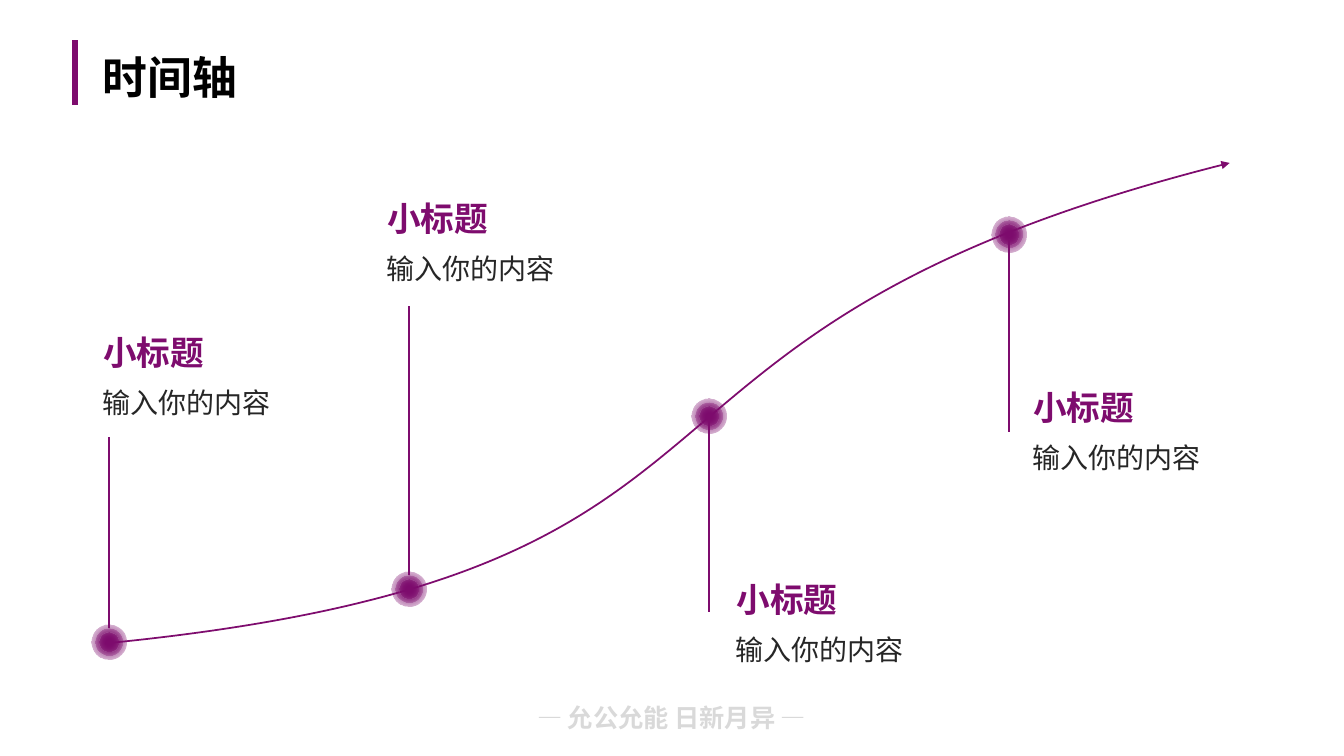
"""Build the timeline slide: a rising curve with four labelled milestones."""
from typing import Any, NamedTuple

from lxml import etree
from pptx import Presentation
from pptx.dml.color import RGBColor
from pptx.enum.lang import MSO_LANGUAGE_ID
from pptx.enum.shapes import MSO_CONNECTOR, MSO_SHAPE
from pptx.enum.text import MSO_ANCHOR, MSO_AUTO_SIZE, PP_ALIGN
from pptx.oxml import parse_xml
from pptx.oxml.ns import nsdecls, qn
from pptx.util import Emu, Pt

LEFT, CENTER, RIGHT, JUSTIFY = PP_ALIGN.LEFT, PP_ALIGN.CENTER, PP_ALIGN.RIGHT, PP_ALIGN.JUSTIFY
FIT, FIXED = MSO_AUTO_SIZE.SHAPE_TO_FIT_TEXT, MSO_AUTO_SIZE.NONE
MIDDLE = MSO_ANCHOR.MIDDLE
STRAIGHT = MSO_CONNECTOR.STRAIGHT
OVAL = MSO_SHAPE.OVAL
CHINESE = MSO_LANGUAGE_ID.SIMPLIFIED_CHINESE

COLORS = {"purple": "7E0C6E", "title": "000000", "body": "262626", "footer": "D9D9D9"}
COLUMNS, ROWS, CELL = 16, 9, 762000
TITLE_ONLY = 5
NODE_PITCH = 3.57
RING_SIZES = (0.42, 0.32, 0.23)
CURVE = ((1.25, 7.66), (9.7, 6.83), (6.61, 3.95), (14.64, 1.94))


class Style(NamedTuple):
    font: dict[str, Any]
    color: str
    para: dict[str, Any]
    frame: dict[str, Any]


class Milestone(NamedTuple):
    row: float
    stem_start: float
    stem_end: float
    label_column: float
    label_row: float


def cells(count: float) -> Emu:
    return Emu(round(count * CELL))


INSETS = {f"margin_{side}": cells(0.24) for side in ("left", "top", "right", "bottom")}
STYLES = {
    "title": Style({"name": "Calibri", "size": Pt(32), "bold": True}, "title",
                   {"alignment": LEFT, "line_spacing": 0.9},
                   {"word_wrap": True, "auto_size": FIXED, "vertical_anchor": MIDDLE}),
    "heading": Style({"name": "Arial", "size": Pt(24), "bold": True}, "purple",
                     {"alignment": RIGHT}, {"word_wrap": False, **INSETS}),
    "body": Style({"name": "Arial", "size": Pt(20)}, "body",
                  {"alignment": JUSTIFY, "line_spacing": 1.3, "space_after": Pt(6)},
                  {"word_wrap": True, "auto_size": FIT}),
    "footer": Style({"name": "Noto Sans CJK JP", "size": Pt(18), "bold": True}, "footer",
                    {"alignment": CENTER}, {"word_wrap": True, "auto_size": FIT}),
}
MILESTONES = (
    Milestone(7.64, 7.48, 5.2, 0.82, 3.71),
    Milestone(7.01, 6.85, 3.64, 4.2, 2.11),
    Milestone(4.95, 5.0, 7.28, 8.36, 6.65),
    Milestone(2.79, 2.86, 5.14, 11.89, 4.36),
)


def apply(target: Any, values: dict[str, Any]) -> None:
    for name, value in values.items():
        setattr(target, name, value)


def write(box: Any, text: str, style: Style) -> None:
    apply(box.text_frame, style.frame)
    para = box.text_frame.paragraphs[0]
    apply(para, style.para)
    span = para.add_run()
    span.text = text
    apply(span.font, {**style.font, "language_id": CHINESE})
    span.font.color.rgb = RGBColor.from_string(COLORS[style.color])


def add_text(page: Any, text: str, style: str, left: float, top: float,
             width: float, height: float) -> None:
    box = page.shapes.add_textbox(cells(left), cells(top), cells(width), cells(height))
    write(box, text, STYLES[style])


def set_line(shape: Any, width: float) -> None:
    shape.line.color.rgb = RGBColor.from_string(COLORS["purple"])
    shape.line.width = Pt(width)


def add_vertical(page: Any, column: float, start: float, end: float, width: float) -> None:
    line = page.shapes.add_connector(STRAIGHT, cells(column), cells(start),
                                     cells(column), cells(end))
    set_line(line, width)
    etree.SubElement(line.element.spPr, qn("a:effectLst"))


def add_curve(page: Any) -> None:
    start, *controls = [(cells(column), cells(row)) for column, row in CURVE]
    builder = page.shapes.build_freeform(*start)
    builder.add_line_segments(controls, close=False)
    curve = builder.convert_to_shape()
    curve.shadow.inherit = False
    curve.fill.background()
    set_line(curve, 1.25)
    etree.SubElement(curve.line.fill._xPr, qn("a:tailEnd"), type="triangle")
    segments = list(curve.element.iter(qn("a:lnTo")))
    bezier = etree.SubElement(segments[0].getparent(), qn("a:cubicBezTo"))
    for segment in segments:
        bezier.append(segment[0])
        segment.getparent().remove(segment)


def radial_fill() -> Any:
    color = COLORS["purple"]
    return parse_xml(
        f'<a:gradFill {nsdecls("a")} rotWithShape="1"><a:gsLst>'
        f'<a:gs pos="0"><a:srgbClr val="{color}"/></a:gs>'
        f'<a:gs pos="100000"><a:srgbClr val="{color}"><a:alpha val="0"/></a:srgbClr></a:gs>'
        '</a:gsLst><a:path path="circle">'
        '<a:fillToRect l="50000" t="50000" r="50000" b="50000"/></a:path></a:gradFill>')


def add_node(page: Any, column: float, row: float) -> None:
    group = page.shapes.add_group_shape()
    for size in RING_SIZES:
        ring = group.shapes.add_shape(OVAL, cells(column - size / 2), cells(row - size / 2),
                                      cells(size), cells(size))
        ring.shadow.inherit = False
        ring.line.fill.background()
        ring.element.spPr.find(qn("a:prstGeom")).addnext(radial_fill())


def add_milestone(page: Any, index: int, stop: Milestone) -> None:
    column = 1.3 + index * NODE_PITCH
    add_node(page, column, stop.row)
    add_vertical(page, column, stop.stem_start, stop.stem_end, 1.25)
    add_text(page, "小标题", "heading", stop.label_column, stop.label_row, 1.85, 0.76)
    add_text(page, "输入你的内容", "body", stop.label_column + 0.28, stop.label_row + 0.7,
             3.29, 0.6)


def main() -> None:
    deck = Presentation()
    apply(deck, {"slide_width": cells(COLUMNS), "slide_height": cells(ROWS)})
    page = deck.slides.add_slide(deck.slide_layouts[TITLE_ONLY])
    title = page.shapes.title
    apply(title, {"left": cells(1.1), "top": cells(0.38),
                  "width": cells(6.9), "height": cells(1.14)})
    write(title, "时间轴", STYLES["title"])
    add_text(page, "— 允公允能 日新月异 —", "footer", 5.48, 8.3, 5.03, 0.48)
    add_vertical(page, 0.89, 0.48, 1.25, 4.5)
    add_curve(page)
    for index, stop in enumerate(MILESTONES):
        add_milestone(page, index, stop)
    deck.save("out.pptx")


if __name__ == "__main__":
    main()
